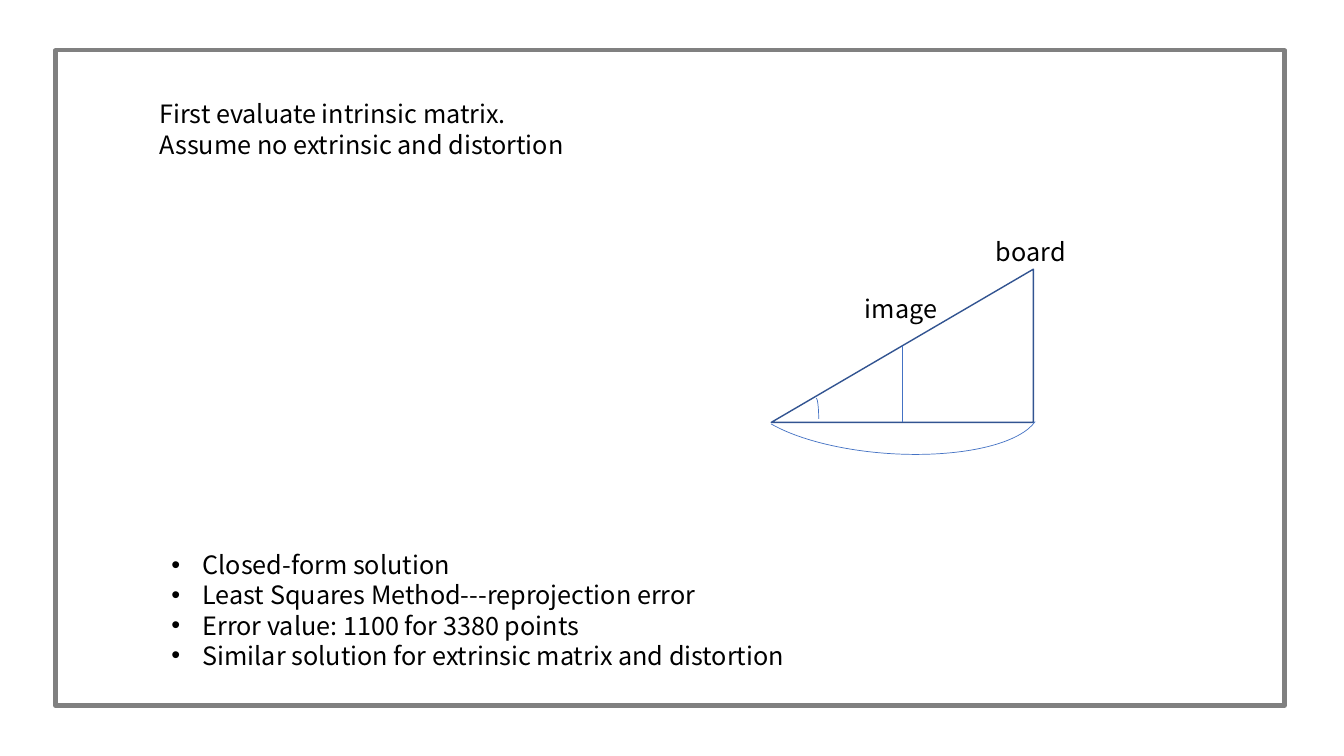
import pptx
import pptx.util
import pptx.dml.color
import pptx.enum.shapes
import pptx.enum.text
import pptx.oxml
import pptx.oxml.ns

INCH = pptx.util.Inches
SHAPE = pptx.enum.shapes.MSO_SHAPE
FONT = "Noto Sans CJK SC"
WIDTH, HEIGHT = 13.33, 7.5
BLACK, GREY, NAVY, BLUE = "000000", "808080", "325491", "4472C4"
EYE_X, BOARD_X, AXIS_Y, BOARD_TOP = 7.65, 10.25, 4.19, 2.67
BULLET_INDENT = 0.31


def color(hex_text):
    return pptx.dml.color.RGBColor.from_string(hex_text)


def sub_element(parent, tag, **attrs):
    child = parent.makeelement(pptx.oxml.ns.qn(tag), attrs)
    parent.append(child)
    return child


def place(sp, left, top, width, height):
    sp.left, sp.top = INCH(left), INCH(top)
    sp.width, sp.height = INCH(width), INCH(height)


def write(sp, lines, bullets=False):
    tf = sp.text_frame
    tf.text = "\n".join(lines)
    tf.word_wrap = True
    tf.auto_size = pptx.enum.text.MSO_AUTO_SIZE.NONE
    tf.vertical_anchor = pptx.enum.text.MSO_ANCHOR.TOP
    for p in tf.paragraphs:
        p.alignment = pptx.enum.text.PP_ALIGN.LEFT
        p.space_before = pptx.util.Pt(0)
        if bullets:
            pPr = p._p.get_or_add_pPr()
            pPr.set("marL", str(INCH(BULLET_INDENT)))
            pPr.set("indent", str(-INCH(BULLET_INDENT)))
            sub_element(pPr, "a:buFont", typeface="Arial")
            sub_element(pPr, "a:buChar", char="•")
        for r in p.runs:
            r.font.name = FONT
            r.font.size = pptx.util.Pt(18)
            r.font.color.rgb = color(BLACK)
            sub_element(r._r.get_or_add_rPr(), "a:ea", typeface=FONT)


def add_label(slide, text, left, top):
    sp = slide.shapes.add_textbox(0, 0, 0, 0)
    place(sp, left, top, 0.93, 0.4)
    write(sp, [text])


def add_outline(slide, kind, box, line_color, weight, rotation=0, adjustments=()):
    sp = slide.shapes.add_shape(kind, 0, 0, 0, 0)
    place(sp, *box)
    sp.rotation = rotation
    for i, value in enumerate(adjustments):
        sp.adjustments[i] = value
    sp.shadow.inherit = False
    sp.fill.background()
    sp.line.color.rgb = color(line_color)
    sp.line.width = pptx.util.Pt(weight)


def add_line(slide, x1, y1, x2, y2):
    straight = pptx.enum.shapes.MSO_CONNECTOR.STRAIGHT
    line = slide.shapes.add_connector(straight, INCH(x1), INCH(y1), INCH(x2), INCH(y2))
    line.line.color.rgb = color(BLUE)
    line.line.width = pptx.util.Pt(0.5)
    sub_element(line._element.spPr, "a:effectLst")


def add_projection(slide):
    base, rise = BOARD_X - EYE_X, AXIS_Y - BOARD_TOP
    mid_x, mid_y = EYE_X + base / 2, AXIS_Y - rise / 2
    triangle = (mid_x - rise / 2, mid_y - base / 2, rise, base)
    add_outline(slide, SHAPE.ISOSCELES_TRIANGLE, triangle, NAVY, 1, 270, [0])
    add_line(slide, mid_x, mid_y, mid_x, AXIS_Y)
    add_label(slide, "image", 8.48, 2.86)
    add_label(slide, "board", 9.78, 2.3)
    add_outline(slide, SHAPE.ARC, (8.07, 3.95, 0.05, 0.41), BLUE, 0.5)
    add_outline(slide, SHAPE.ARC, (8.32, 2.51, 1.05, 2.93), BLUE, 0.5, 93.9,
                [164.63, 45.12])


def main():
    prs = pptx.Presentation()
    prs.slide_width, prs.slide_height = INCH(WIDTH), INCH(HEIGHT)
    slide = prs.slides.add_slide(prs.slide_layouts[1])
    title, body = slide.placeholders

    frame = (0.55, HEIGHT / 15, 12.19, HEIGHT * 13 / 15)
    add_outline(slide, SHAPE.RECTANGLE, frame, GREY, 3)
    place(title, 1.48, 0.93, 4.81, 0.71)
    write(title, ["First evaluate intrinsic matrix.",
                  "Assume no extrinsic and distortion"])
    add_projection(slide)
    place(body, 1.6, 5.4, 6.66, 1.31)
    write(body, ["Closed-form solution",
                 "Least Squares Method---reprojection error",
                 "Error value: 1100 for 3380 points",
                 "Similar solution for extrinsic matrix and distortion"], bullets=True)
    prs.save("out.pptx")


if __name__ == "__main__":
    main()
